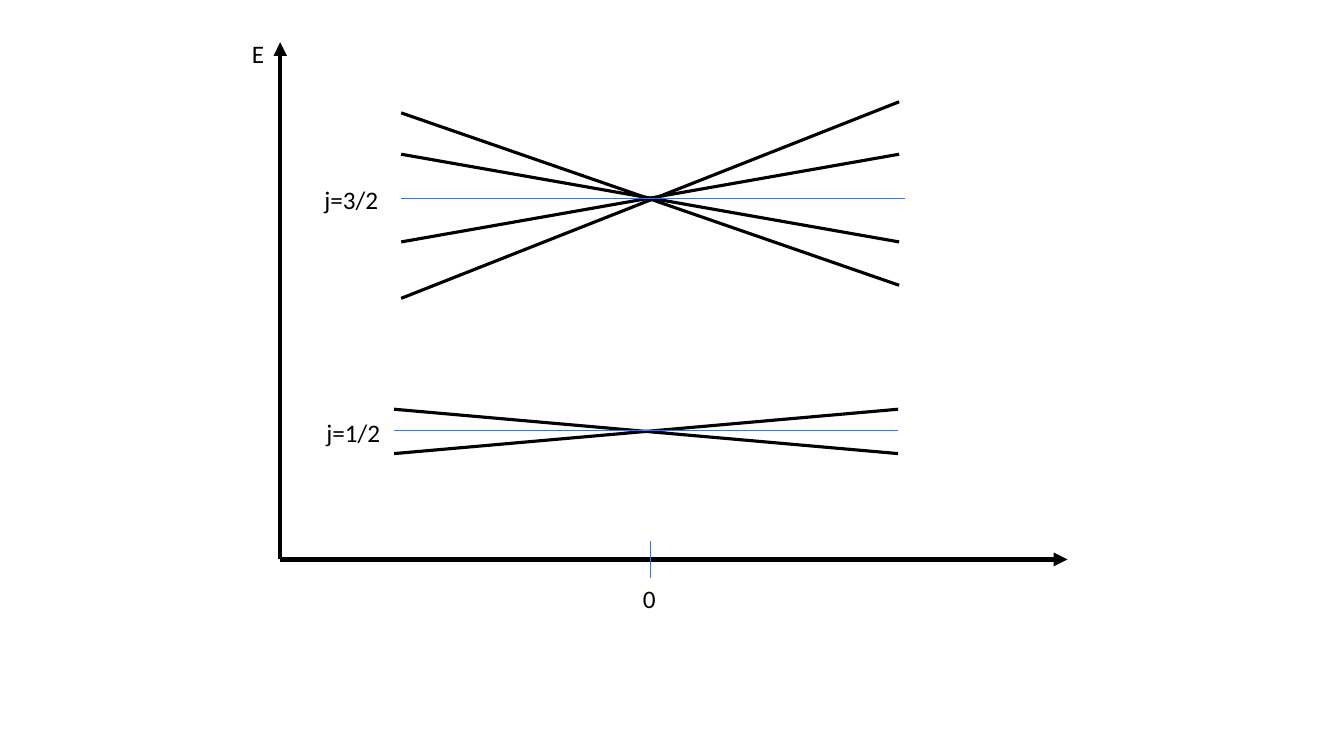
import pptx
import pptx.dml.color
import pptx.enum.shapes
import pptx.enum.text
import pptx.oxml
import pptx.oxml.ns
import pptx.util

PX = 9144  # EMU per px, 100 px to the inch
BLACK, BLUE = "000000", "4472C4"


def px(length):
    return pptx.util.Emu(length * PX)


def color(hex_value):
    return pptx.dml.color.RGBColor.from_string(hex_value)


def add_line(slide, start, end, hex_value, weight, arrow=False):
    line = slide.shapes.add_connector(
        pptx.enum.shapes.MSO_CONNECTOR.STRAIGHT, *map(px, start + end))
    line.line.color.rgb = color(hex_value)
    line.line.width = pptx.util.Pt(weight)
    properties = line._element.spPr
    if arrow:
        head = pptx.oxml.parse_xml(
            f'<a:tailEnd {pptx.oxml.ns.nsdecls("a")} type="triangle"/>')
        line.line._get_or_add_ln().append(head)
    properties.append(pptx.oxml.parse_xml(
        f'<a:effectLst {pptx.oxml.ns.nsdecls("a")}/>'))


def add_label(slide, text, left, top, width, height=40):
    frame = slide.shapes.add_textbox(*map(px, (left, top, width, height))).text_frame
    frame.word_wrap = False
    frame.auto_size = pptx.enum.text.MSO_AUTO_SIZE.SHAPE_TO_FIT_TEXT
    run = frame.paragraphs[0].add_run()
    run.text = text
    font_format = {"name": "Calibri", "size": pptx.util.Pt(18)}
    for attribute, value in font_format.items():
        setattr(run.font, attribute, value)
    run.font.color.rgb = color(BLACK)


def add_level(slide, box, name, label_box, sublevels, base_width, base_offset):
    """Draw split sublevels as (left rise, right rise) from the box top, with the unsplit base level."""
    left, top, width = box
    for left_offset, right_offset in sublevels:
        add_line(slide, (left, top + left_offset),
                 (left + width, top + right_offset), BLACK, 2.25)
    base = top + base_offset
    add_line(slide, (left, base), (left + base_width, base), BLUE, 0.5)
    label_left, label_top, label_width = label_box
    add_label(slide, name, left + label_left, top + label_top, label_width)


def add_axes(slide, box, zero_offset):
    left, top, width, height = box
    origin = (left, top + height)
    for tip in ((left + width, top + height), (left, top)):
        add_line(slide, origin, tip, BLACK, 3.25, arrow=True)
    zero, baseline = left + zero_offset, top + height
    add_line(slide, (zero, baseline - 18), (zero, baseline + 18), BLUE, 0.5)
    add_label(slide, "0", zero - 17, baseline + 19, 33)
    add_label(slide, "E", left - 38, top - 9, 32)


def main():
    deck = pptx.Presentation()
    deck.slide_width, deck.slide_height = pptx.util.Emu(12192000), px(750)
    slide = deck.slides.add_slide(deck.slide_layouts[6])
    add_level(slide, (398, 101, 494), "j=3/2", (-86, 77, 76),
              ((139, 52), (195, 0), (11, 182), (52, 139)), 500, 96)
    add_level(slide, (391, 406, 500), "j=1/2", (-77, 3, 74),
              ((44, 0), (0, 44)), 500, 21)
    add_axes(slide, (278, 42, 781, 513), 367)
    deck.save("out.pptx")


if __name__ == "__main__":
    main()
